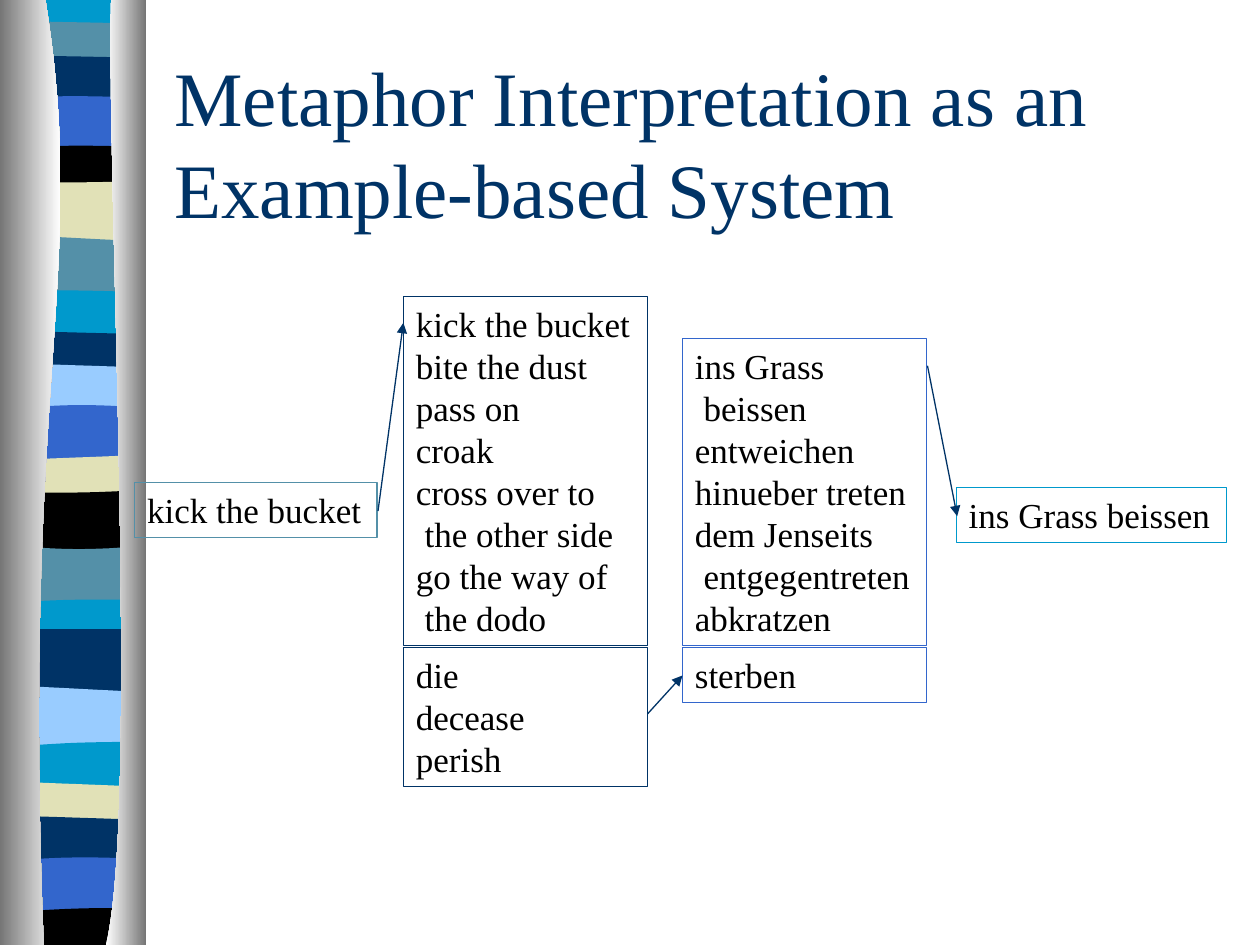
from math import pi, sin

from lxml.etree import SubElement
from pptx import Presentation
from pptx.dml.color import RGBColor
from pptx.enum.shapes import MSO_CONNECTOR, MSO_SHAPE
from pptx.enum.text import MSO_ANCHOR, MSO_AUTO_SIZE, PP_ALIGN
from pptx.oxml.ns import qn
from pptx.util import Pt

FONT = "Times New Roman"
COLORS = {
    "sky": "0099CC", "teal": "5490A8", "navy": "003366", "blue": "3366CC",
    "black": "000000", "sand": "E1E1B7", "pale": "99CCFF",
    "gray": "767676", "white": "FFFFFF",
}
WIDTH, HEIGHT = 720, 540
BAND_LEFT, BAND_RIGHT = 4, 82
LINE_HEIGHT, BOX_PADDING = 24, 7.5

# Ribbon bands: colour, top at the left, top at the right, bow of the top edge
BANDS = [
    ("sky", 0, 0, 0), ("teal", 12, 13.5, 0), ("navy", 31.5, 33, 0),
    ("blue", 56, 56, -1), ("black", 84.5, 84, -1), ("sand", 104, 103.5, 0.5),
    ("teal", 134, 138, 0), ("sky", 166, 167, -0.5), ("navy", 189, 191, 0),
    ("pale", 207.5, 210, 0), ("blue", 234, 233, -2), ("sand", 263, 260, 0),
    ("black", 281, 280, 1), ("teal", 311.5, 312, 2), ("sky", 344.5, 343, -1),
    ("navy", 359.5, 359.5, 0), ("pale", 391.5, 395.5, 0), ("sky", 427, 424, -1),
    ("sand", 446.5, 449.5, 0), ("navy", 466, 468.5, 0), ("blue", 492, 491, -1.5),
    ("black", 521.5, 519, -1),
]


def rgb(name):
    return RGBColor.from_string(COLORS[name])


def add_outline(s, points):
    """Closed shape without a line through points."""
    (x, y), *rest = [(Pt(px), Pt(py)) for px, py in points]
    builder = s.shapes.build_freeform(x, y)
    builder.add_line_segments(rest, close=True)
    sp = builder.convert_to_shape()
    sp.shadow.inherit = False
    sp.line.fill.background()
    return sp


def add_band(s, color, left_y, right_y, bow, bottom):
    steps = 12
    top = [(BAND_LEFT + (BAND_RIGHT - BAND_LEFT) * i / steps,
            left_y + (right_y - left_y) * i / steps + bow * sin(pi * i / steps))
           for i in range(steps + 1)]
    sp = add_outline(s, top + [(BAND_RIGHT, bottom), (BAND_LEFT, bottom)])
    sp.fill.solid()
    sp.fill.fore_color.rgb = rgb(color)


def bezier(p0, p1, p2, p3, steps=40):
    curve = []
    for i in range(steps + 1):
        t = i / steps
        weights = ((1 - t) ** 3, 3 * t * (1 - t) ** 2, 3 * t * t * (1 - t), t ** 3)
        curve.append(tuple(sum(w * p[axis] for w, p in zip(weights, (p0, p1, p2, p3)))
                           for axis in (0, 1)))
    return curve


def add_panel(s, inner_edge, outer_x, left_color, right_color):
    """Gradient panel between a curved inner edge and a straight outer one."""
    sp = add_outline(s, bezier(*inner_edge) + [(outer_x, HEIGHT), (outer_x, 0)])
    sp.fill.gradient()
    sp.fill.gradient_angle = 0
    for stop, color in zip(sp.fill.gradient_stops, (left_color, right_color)):
        stop.color.rgb = rgb(color)


def add_ribbon(s):
    bottoms = [max(band[1:3]) + 4 for band in BANDS[1:]] + [HEIGHT]
    for band, bottom in zip(BANDS, bottoms):
        add_band(s, *band, bottom)
    add_panel(s, [(26, 0), (51, 156), (12, 213), (25, HEIGHT)], 0, "gray", "white")
    add_panel(s, [(63.5, 0), (60.5, 90), (80, 465), (60.5, HEIGHT)], 83.5, "white", "gray")


def write_lines(tf, lines, size, color):
    tf.word_wrap = True
    p = tf.paragraphs[0]
    p.alignment = PP_ALIGN.LEFT
    for i, line in enumerate(lines):
        if i:
            p.add_line_break()
        r = p.add_run()
        r.text = line
        r.font.size = Pt(size)
        r.font.name = FONT
        r.font.color.rgb = rgb(color)


def add_title(s, text):
    title = s.shapes.title
    title.left, title.top, title.width, title.height = Pt(92.5), Pt(36), Pt(612), Pt(90)
    tf = title.text_frame
    tf.auto_size = MSO_AUTO_SIZE.NONE
    tf.vertical_anchor = MSO_ANCHOR.MIDDLE
    write_lines(tf, [text], 44, "navy")


def box_height(lines):
    return len(lines) * LINE_HEIGHT + BOX_PADDING


def add_box(s, left, top, width, color, lines):
    sp = s.shapes.add_shape(MSO_SHAPE.RECTANGLE, Pt(left), Pt(top),
                            Pt(width), Pt(box_height(lines)))
    sp.shadow.inherit = False
    sp.fill.background()
    sp.line.color.rgb = rgb(color)
    sp.line.width = Pt(0.75)
    sp.text_frame.vertical_anchor = MSO_ANCHOR.TOP
    write_lines(sp.text_frame, lines, 20, "black")


def add_stack(s, left, color, idioms, literals):
    """Idioms above the divider, literal words just below it."""
    divider, gap, width = 370, 1, 139.5
    add_box(s, left, divider - gap - box_height(idioms), width, color, idioms)
    add_box(s, left, divider, width, color, literals)


def add_arrow(s, x1, y1, x2, y2):
    line = s.shapes.add_connector(MSO_CONNECTOR.STRAIGHT, Pt(x1), Pt(y1), Pt(x2), Pt(y2))
    line.line.color.rgb = rgb("navy")
    line.line.width = Pt(0.75)
    SubElement(line.line._get_or_add_ln(), qn("a:tailEnd"), type="triangle")
    SubElement(line._element.spPr, qn("a:effectLst"))


def main():
    prs = Presentation()
    prs.slide_width, prs.slide_height = Pt(WIDTH), Pt(HEIGHT)
    s = prs.slides.add_slide(prs.slide_layouts[5])

    # Decoration and title
    add_ribbon(s)
    add_title(s, "Metaphor Interpretation as an Example-based System")

    # Input, example stacks and output
    add_box(s, 77, 275.75, 138.5, "teal", ["kick the bucket"])
    add_stack(s, 230.5, "navy",
              ["kick the bucket", "bite the dust", "pass on", "croak", "cross over to",
               " the other side", "go the way of", " the dodo"],
              ["die", "decease", "perish"])
    add_stack(s, 390, "blue",
              ["ins Grass", " beissen", "entweichen", "hinueber treten",
               "dem Jenseits", " entgegentreten", "abkratzen"],
              ["sterben"])
    add_box(s, 546.5, 278.5, 154.5, "sky", ["ins Grass beissen"])

    # Path from input to output
    for ends in ((216, 292, 230.5, 184.5), (370, 408, 390, 386), (530, 209, 547, 295)):
        add_arrow(s, *ends)

    prs.save("out.pptx")


if __name__ == "__main__":
    main()
